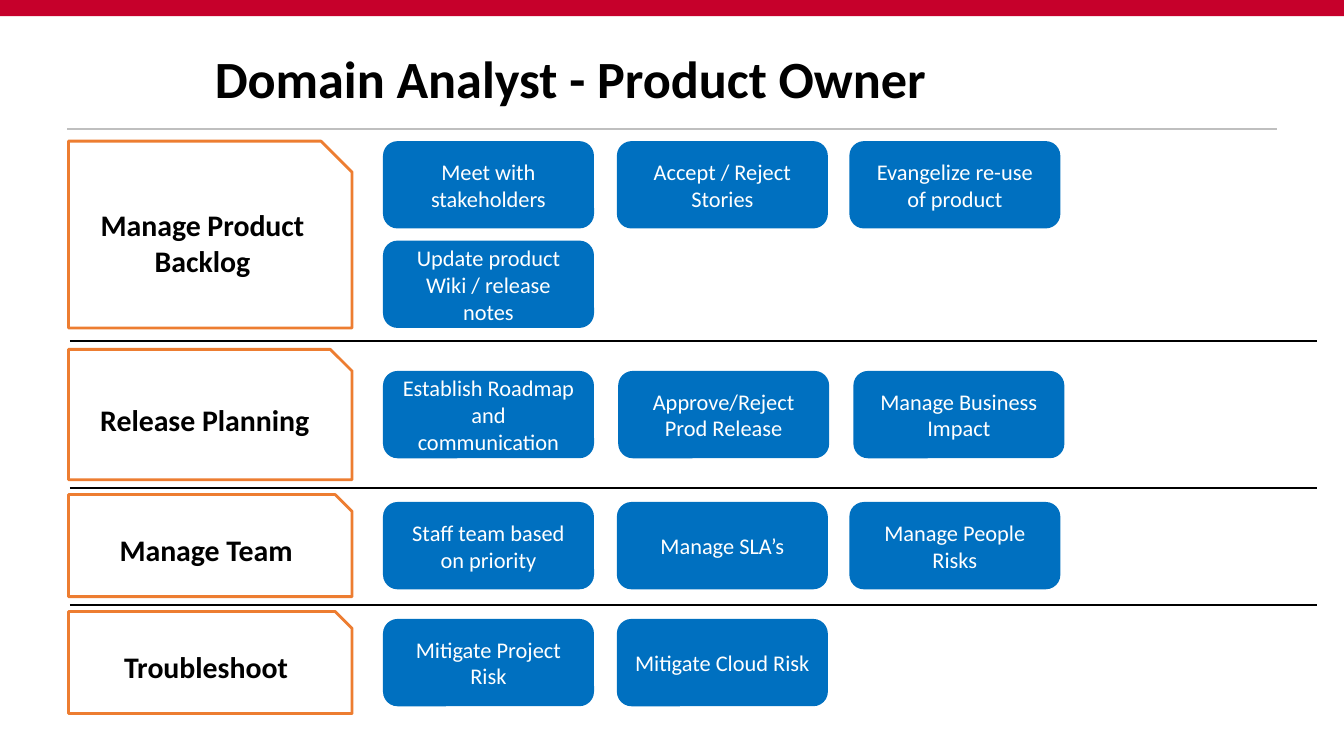
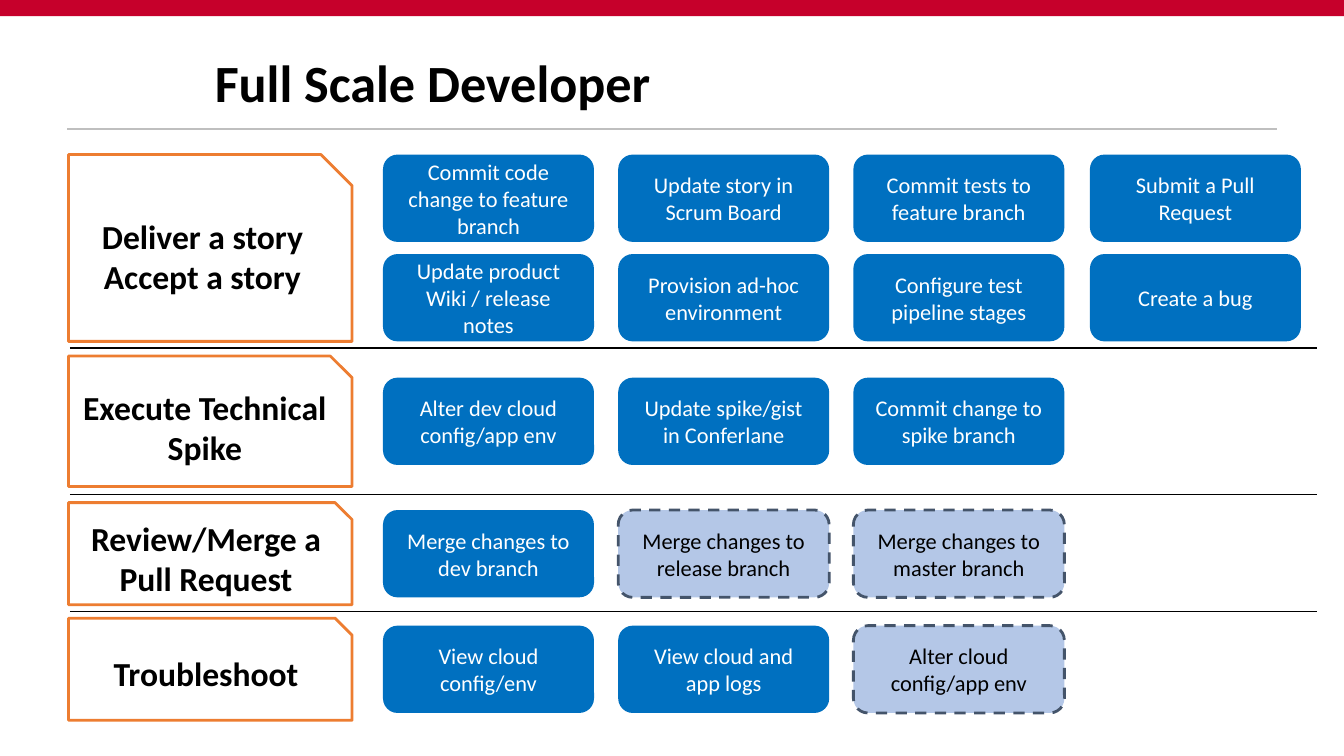
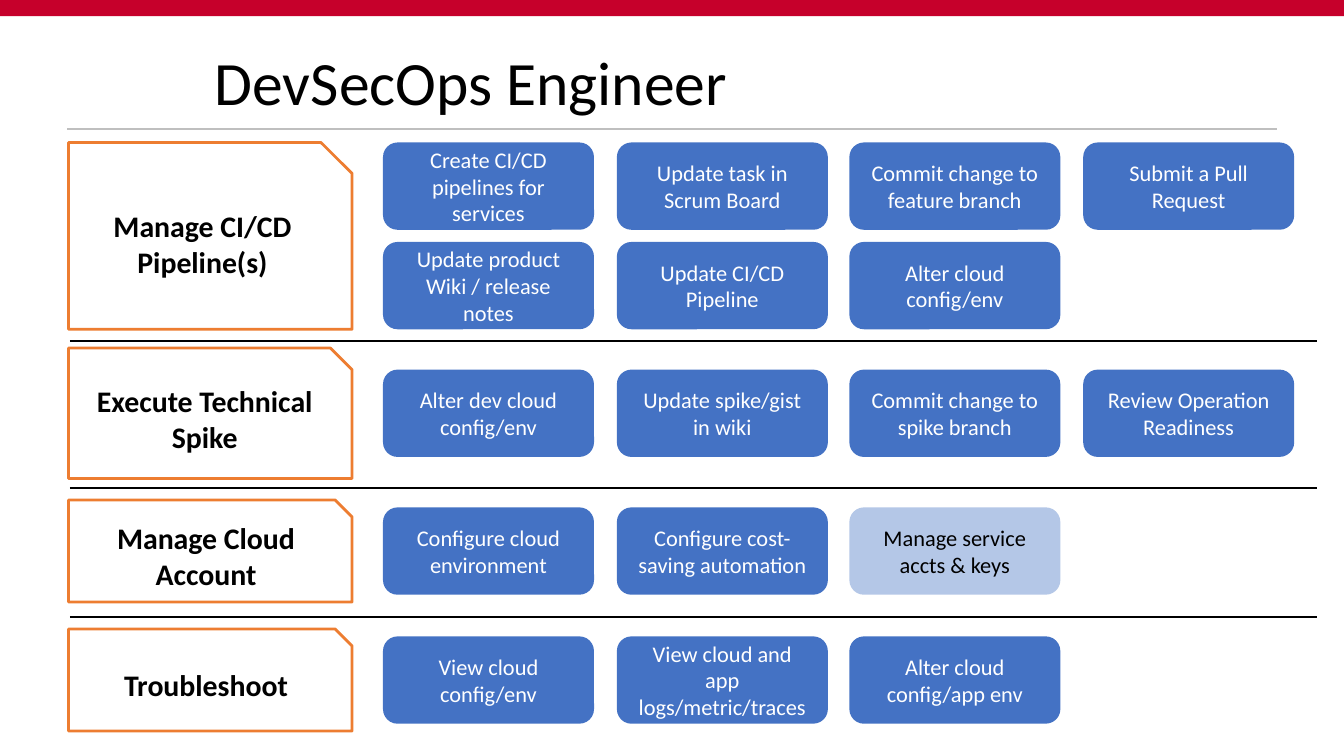
from lxml.etree import SubElement
from pptx import Presentation
from pptx.dml.color import RGBColor
from pptx.enum.dml import MSO_LINE
from pptx.enum.shapes import MSO_CONNECTOR, MSO_SHAPE as SHAPE
from pptx.enum.text import MSO_ANCHOR, PP_ALIGN as ALIGN
from pptx.oxml.ns import qn
from pptx.util import Inches, Pt

RED = RGBColor(0xC6, 0x00, 0x2B)
GREY = RGBColor(0xBF, 0xBF, 0xBF)
ORANGE = RGBColor(0xED, 0x7D, 0x31)
BLUE = RGBColor(0x00, 0x70, 0xC0)
INDIGO = RGBColor(0x44, 0x72, 0xC4)
PALE = RGBColor(0xB4, 0xC7, 0xE7)
SLATE = RGBColor(0x44, 0x54, 0x6A)
BLACK = RGBColor(0x00, 0x00, 0x00)
WHITE = RGBColor(0xFF, 0xFF, 0xFF)

FONT = "Calibri"
W = 10
H = W * 9 / 16
LABEL_X, LABEL_W = 0.51, 2.11
LABEL_HEIGHTS = [1.39, 0.97, 0.76, 0.76]
TASK_W, TASK_H, TASK_GAP = 1.57, 0.65, 0.09
WIDE = [2.85, 4.6, 6.35, 8.11]
NARROW = [2.85, 4.59, 6.32, 8.06]


def add_box(s, kind, x, y, w, h, text="", size=12, color=BLACK, bold=False,
            align=ALIGN.CENTER, spacing=1.0, fill=None, line=None, dash=None):
    area = Inches(x), Inches(y), Inches(w), Inches(h)
    if kind is None:
        sp = s.shapes.add_textbox(*area)
    else:
        sp = s.shapes.add_shape(kind, *area)
        sp.shadow.inherit = False
        sp.fill.solid()
        sp.fill.fore_color.rgb = fill
        if line is None:
            sp.line.fill.background()
        else:
            sp.line.color.rgb = line
            sp.line.width = Pt(1.5)
            sp.line.dash_style = dash
    tf = sp.text_frame
    tf.word_wrap = True
    tf.vertical_anchor = MSO_ANCHOR.MIDDLE
    if text:
        tf.text = text
        for p in tf.paragraphs:
            p.alignment = align
            p.line_spacing = spacing
            p.font.name = FONT
            p.font.size = Pt(size)
            p.font.bold = bold
            p.font.color.rgb = color


def add_rule(s, x1, x2, y, color):
    ln = s.shapes.add_connector(MSO_CONNECTOR.STRAIGHT, Inches(x1), Inches(y),
                                Inches(x2), Inches(y))
    ln.line.color.rgb = color
    ln.line.width = Pt(1)
    SubElement(ln._element.spPr, qn("a:effectLst"))


roles = [
    dict(
        title="Domain Analyst - Product Owner", title_size=28, title_bold=True,
        title_w=8, title_h=0.72, label_size=16, fill=BLUE, pale=[],
        outline=None, rules=[2.54, 3.63, 4.5],
        columns=[NARROW, WIDE, NARROW, NARROW],
        groups=[
            (1.05, "Manage Product Backlog", [
                ["Meet with stakeholders", "Accept / Reject Stories",
                 "Evangelize re-use of product"],
                ["Update product Wiki / release notes"]]),
            (2.6, "Release Planning", [
                ["Establish Roadmap and communication",
                 "Approve/Reject Prod Release", "Manage Business Impact"]]),
            (3.68, "Manage Team", [
                ["Staff team based on priority", "Manage SLA’s",
                 "Manage People Risks"]]),
            (4.55, "Troubleshoot", [
                ["Mitigate Project Risk", "Mitigate Cloud Risk"]]),
        ]),
    dict(
        title="Full Scale Developer", title_size=28, title_bold=True,
        title_w=8.5, title_h=0.77, label_size=18, fill=BLUE, outline=SLATE,
        pale=["Merge changes to release branch",
              "Merge changes to master branch", "Alter cloud config/app env"],
        rules=[2.59, 3.68, 4.55], columns=[WIDE] * 4,
        groups=[
            (1.15, "Deliver a story\nAccept a story", [
                ["Commit code change to feature branch",
                 "Update story in Scrum Board",
                 "Commit tests to feature branch", "Submit a Pull Request"],
                ["Update product Wiki / release notes",
                 "Provision ad-hoc environment",
                 "Configure test pipeline stages", "Create a bug"]]),
            (2.65, "Execute Technical Spike", [
                ["Alter dev cloud config/app env",
                 "Update spike/gist in Conferlane",
                 "Commit change to spike branch"]]),
            (3.74, "Review/Merge a Pull Request", [
                ["Merge changes to dev branch",
                 "Merge changes to release branch",
                 "Merge changes to master branch"]]),
            (4.6, "Troubleshoot", [
                ["View cloud config/env", "View cloud and app logs",
                 "Alter cloud config/app env"]]),
        ]),
    dict(
        title="DevSecOps Engineer", title_size=33, title_bold=False,
        title_w=8.5, title_h=0.77, label_size=16, fill=INDIGO, outline=None,
        pale=["Manage service accts & keys"],
        rules=[2.54, 3.63, 4.59], columns=[NARROW] * 4,
        groups=[
            (1.06, "Manage CI/CD Pipeline(s)", [
                ["Create CI/CD pipelines for services",
                 "Update task in Scrum Board",
                 "Commit change to feature branch", "Submit a Pull Request"],
                ["Update product Wiki / release notes",
                 "Update CI/CD Pipeline", "Alter cloud config/env"]]),
            (2.59, "Execute Technical Spike", [
                ["Alter dev cloud config/env", "Update spike/gist in wiki",
                 "Commit change to spike branch",
                 "Review Operation Readiness"]]),
            (3.72, "Manage Cloud Account", [
                ["Configure cloud environment",
                 "Configure cost-saving automation",
                 "Manage service accts & keys"]]),
            (4.68, "Troubleshoot", [
                ["View cloud config/env",
                 "View cloud and app logs/metric/traces",
                 "Alter cloud config/app env"]]),
        ]),
]

prs = Presentation()
prs.slide_width, prs.slide_height = Inches(W), Inches(H)

for role in roles:
    s = prs.slides.add_slide(prs.slide_layouts[6])
    add_rule(s, 0.05 * W, 0.95 * W, 0.96, GREY)
    add_box(s, SHAPE.RECTANGLE, 0, 0, W, 0.12, fill=RED)
    add_box(s, None, 0.15 * W, 0.25, role["title_w"], role["title_h"],
            role["title"], size=role["title_size"], bold=role["title_bold"],
            align=ALIGN.LEFT, spacing=0.9)

    for y in role["rules"]:
        add_rule(s, 0.52, 0.98 * W, y, BLACK)

    for (top, label, rows), height, columns in zip(
            role["groups"], LABEL_HEIGHTS, role["columns"]):
        add_box(s, SHAPE.SNIP_1_RECTANGLE, LABEL_X, top, LABEL_W, height, label,
                size=role["label_size"], bold=True, fill=WHITE, line=ORANGE)
        block_h = len(rows) * (TASK_H + TASK_GAP) - TASK_GAP
        first_y = top + (height - block_h) / 2
        for row, tasks in enumerate(rows):
            for x, task in zip(columns, tasks):
                pale = task in role["pale"]
                add_box(s, SHAPE.ROUNDED_RECTANGLE, x,
                        first_y + row * (TASK_H + TASK_GAP), TASK_W, TASK_H, task,
                        color=BLACK if pale else WHITE,
                        fill=PALE if pale else role["fill"],
                        line=role["outline"] if pale else None,
                        dash=MSO_LINE.DASH if pale else None)

prs.save("out.pptx")
